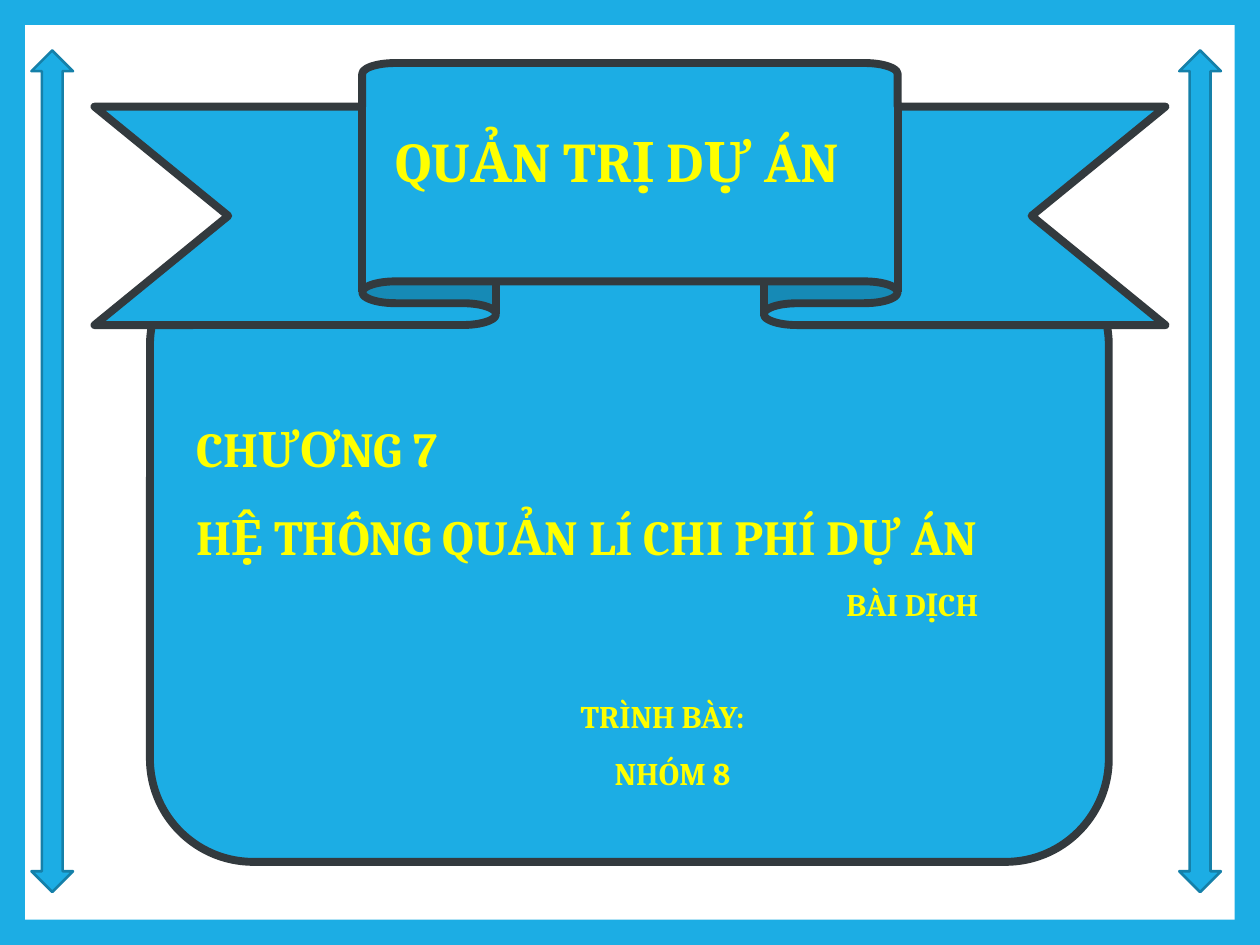
from pptx import Presentation
from pptx import util as u
from pptx.dml import color
from pptx.enum import shapes, text

BLUE, DARK, EDGE, YELLOW, WHITE = "1CADE4", "333A3E", "1580A9", "FFFF00", "FFFFFF"
KIND = shapes.MSO_SHAPE

ARROWS = [(KIND.UP_DOWN_ARROW, (left, 0.4, 0.33, 6.68), BLUE, EDGE, 1.5) for left in (0.25, 9.36)]
SHAPES = [
    (KIND.RECTANGLE, (0.2, 0.2, 9.6, 7.1), WHITE, None, 0),
    (KIND.ROUNDED_RECTANGLE, (1.19, 1.92, 7.61, 4.92), BLUE, DARK, 4.5),
    (KIND.UP_RIBBON, (0.75, 0.5, 8.5, 2.08), BLUE, DARK, 4.5),
] + ARROWS

TITLE = ("QUẢN TRỊ DỰ ÁN", 32, 0, {"line_spacing": 1.0})
TITLE_BOX = (3.04, 0.95, 4.08, 1.18)
SPACED = {"line_spacing": 1.5}
BODY = [
    ("CHƯƠNG 7", 28, 0, SPACED),
    ("HỆ THỐNG QUẢN LÍ CHI PHÍ DỰ ÁN", 28, 0, SPACED),
    ("BÀI DỊCH", 18, 5.16, SPACED),
    ("TRÌNH BÀY:", 18, 3.05, {**SPACED, "space_before": u.Pt(32)}),
    ("NHÓM 8", 18, 3.32, SPACED),
]
BODY_BOX = (1.46, 3.04, 7.25, 3.33)


def rgb(value):
    return color.RGBColor.from_string(value)


def paint(fill, value):
    fill.solid()
    fill.fore_color.rgb = rgb(value)


def apply(target, values):
    for name, value in values.items():
        setattr(target, name, value)


def add_shape(slide, kind, box, fill, line, width):
    shape = slide.shapes.add_shape(kind, *map(u.Inches, box))
    shape.shadow.inherit = False
    paint(shape.fill, fill)
    if line:
        paint(shape.line.fill, line)
        shape.line.width = u.Pt(width)
    else:
        shape.line.fill.background()


def write(shape, box, lines):
    apply(shape, dict(zip(("left", "top", "width", "height"), map(u.Inches, box))))
    frame = shape.text_frame
    apply(frame, {"word_wrap": True, "auto_size": text.MSO_AUTO_SIZE.NONE,
                  "vertical_anchor": text.MSO_ANCHOR.TOP})
    for index, (words, size, indent, spacing) in enumerate(lines):
        paragraph = frame.paragraphs[0] if index == 0 else frame.add_paragraph()
        apply(paragraph, {"alignment": text.PP_ALIGN.LEFT, **spacing})
        paragraph._p.get_or_add_pPr().set("marL", str(u.Inches(indent)))
        run = paragraph.add_run()
        run.text = words
        apply(run.font, {"name": "Cambria", "size": u.Pt(size), "bold": True})
        run.font.color.rgb = rgb(YELLOW)


def main():
    presentation = Presentation()
    apply(presentation, {"slide_width": u.Inches(10), "slide_height": u.Inches(7.5)})
    slide = presentation.slides.add_slide(presentation.slide_layouts[5])
    paint(slide.background.fill, BLUE)
    for item in SHAPES:
        add_shape(slide, *item)
    write(slide.shapes.add_textbox(0, 0, 0, 0), BODY_BOX, BODY)
    title = slide.shapes.title
    write(title, TITLE_BOX, [TITLE])
    slide.shapes._spTree.append(title._element)
    presentation.save("out.pptx")


if __name__ == "__main__":
    main()
